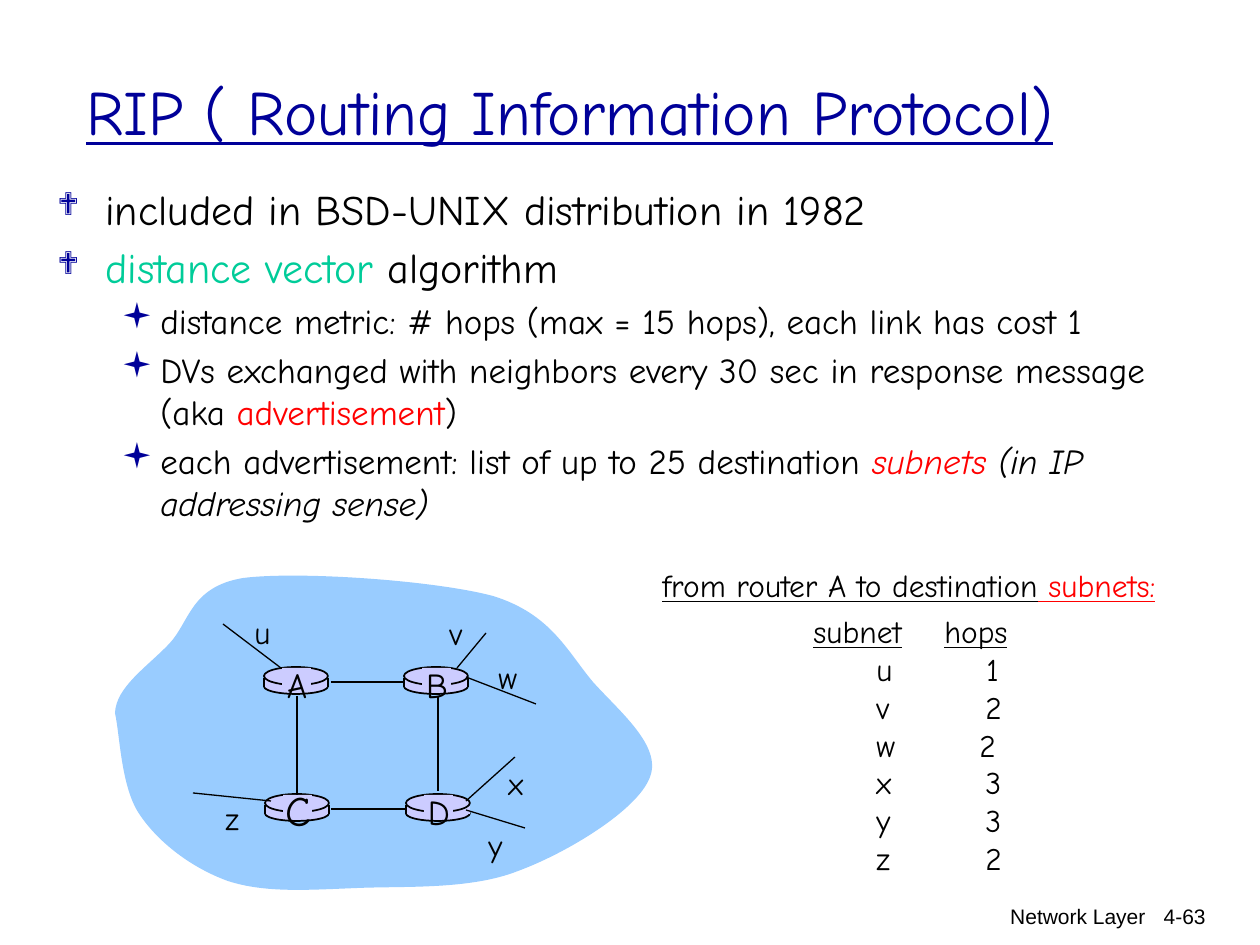
from lxml import etree
from pptx import Presentation
from pptx.dml.color import RGBColor
from pptx.enum import shapes, text
from pptx.oxml.ns import qn
from pptx.util import Emu, Pt

PX = 914400 / 126


class Theme:
    font, footer_font, bullet_font = "Comic Neue", "Arial", "Wingdings"
    navy, black, red = "000099", "000000", "FF0000"
    green, sky, lilac = "00CC99", "99CCFF", "CCCCFF"
    title, lead, detail, label, footer = 36, 24, 20, 18, 12


def add_text(left, top, width, height, wrap=True):
    box = page.shapes.add_textbox(*[Emu(round(n * PX)) for n in (left, top, width, height)])
    box.text_frame.word_wrap = wrap
    return box.text_frame


def write(para, spans, size, font=Theme.font, align=text.PP_ALIGN.LEFT):
    """Each span is (words, colour, style); style may hold u and i."""
    para.alignment = align
    para.font.size = Pt(size)
    para.font.name = font
    for words, color, style in spans:
        span = para.add_run()
        span.text = words
        span.font.color.rgb = RGBColor.from_string(color)
        if "u" in style:
            span.font.underline = True
        if "i" in style:
            span.font.italic = True


deck = Presentation()
deck.slide_width, deck.slide_height = Emu(round(1260 * PX)), Emu(round(945 * PX))
page = deck.slides.add_slide(deck.slide_layouts[6])

# Footer
for left, width, words in [(759, 399, "Network Layer"), (1125, 93, "4-63")]:
    frame = add_text(left, 897, width, 48)
    write(frame.paragraphs[0], [(words, Theme.black, "")], Theme.footer,
          Theme.footer_font, text.PP_ALIGN.RIGHT)

# Title
frame = add_text(74, 31, 1126, 158)
frame.vertical_anchor = text.MSO_ANCHOR.MIDDLE
write(frame.paragraphs[0], [("RIP ( Routing Information Protocol)", Theme.navy, "u")], Theme.title)

# Bulleted list
levels = [  # margin, hanging indent, bullet, bullet percent, type size
    (48, 48, "❖", 75, Theme.lead),
    (103, 39, "▪", 100, Theme.detail),
]
points = [
    (0, [("included in BSD-UNIX distribution in 1982", Theme.black, "")]),
    (0, [("distance vector ", Theme.green, ""), ("algorithm", Theme.black, "")]),
    (1, [("distance metric: # hops (max = 15 hops), each link has cost 1", Theme.black, "")]),
    (1, [("DVs exchanged with neighbors every 30 sec in response message (aka ", Theme.black, ""),
         ("advertisement", Theme.red, ""), (")", Theme.black, "")]),
    (1, [("each advertisement: list of up to 25 destination ", Theme.black, ""),
         ("subnets ", Theme.red, "i"), ("(in IP addressing sense)", Theme.black, "i")]),
]
frame = add_text(45, 177, 1153, 233)
for index, (level, spans) in enumerate(points):
    margin, hang, bullet, percent, size = levels[level]
    para = frame.paragraphs[0] if index == 0 else frame.add_paragraph()
    para.level = level
    if index:
        para.space_before = Pt(size * 0.2)
    props = para._p.get_or_add_pPr()
    props.set("marL", str(round(margin * PX)))
    props.set("indent", str(round(-hang * PX)))
    color = etree.SubElement(props, qn("a:buClr"))
    etree.SubElement(color, qn("a:srgbClr"), val=Theme.navy)
    etree.SubElement(props, qn("a:buSzPct"), val=str(percent * 1000))
    etree.SubElement(props, qn("a:buFont"), typeface=Theme.bullet_font)
    etree.SubElement(props, qn("a:buChar"), char=bullet)
    write(para, spans, size)

# Network cloud: every three points after the start form one cubic curve
start = (115, 713)
curve_points = [
    (116, 687), (147, 667), (169, 644), (190, 622), (190, 587), (243, 578),
    (297, 571), (433, 580), (493, 596), (551, 614), (567, 651), (593, 682),
    (620, 712), (662, 746), (650, 777), (638, 810), (567, 853), (518, 871),
    (470, 890), (404, 886), (357, 888), (307, 890), (265, 893), (228, 881),
    (192, 868), (159, 843), (140, 815), (121, 788), (120, 735), start,
]
builder = page.shapes.build_freeform(*start, scale=PX)
builder.add_line_segments(curve_points, close=True)
cloud = builder.convert_to_shape()
segments = list(cloud._element.iter(qn("a:lnTo")))
for first in range(0, len(segments), 3):
    curve = etree.Element(qn("a:cubicBezTo"))
    segments[first].addprevious(curve)
    for segment in segments[first:first + 3]:
        curve.append(segment[0])
        segment.getparent().remove(segment)
cloud.shadow.inherit = False
cloud.fill.solid()
cloud.fill.fore_color.rgb = RGBColor.from_string(Theme.sky)
cloud.line.fill.background()

# Routers: a drum with a patch behind its letter
routers = [("A", 264, 667, Theme.detail, 10), ("B", 404, 667, Theme.detail, 10),
           ("C", 265, 794, Theme.lead, 16), ("D", 406, 794, Theme.detail, 10)]
OVAL, RECT = shapes.MSO_SHAPE.OVAL, shapes.MSO_SHAPE.RECTANGLE
parts = [(OVAL, 0, 12, 64, 15, True), (RECT, 0, 11, 64, 9, False),
         (OVAL, 0, 0, 64, 18, True), (RECT, 18, 1, 29, 24, False)]
lines = [  # x1, y1, x2, y2, points
    (331, 682, 404, 682, 1), (331, 809, 406, 809, 1),
    (297, 696, 297, 795, 1), (438, 696, 438, 791, 1),
    (281, 668, 223, 624, 0.75), (457, 668, 486, 633, 0.75),
    (466, 677, 536, 704, 0.75), (466, 801, 515, 757, 0.75),
    (466, 810, 525, 828, 0.75), (271, 801, 193, 793, 0.75),
]
for letter, left, top, size, rise in routers:
    for kind, dx, dy, width, height, outlined in parts:
        part = page.shapes.add_shape(
            kind, *[Emu(round(n * PX)) for n in (left + dx, top + dy, width, height)])
        part.shadow.inherit = False
        part.fill.solid()
        part.fill.fore_color.rgb = RGBColor.from_string(Theme.lilac)
        if outlined:
            part.line.color.rgb = RGBColor.from_string(Theme.black)
            part.line.width = Pt(1)
        else:
            part.line.fill.background()
    # Router D has a left side only
    sides = [left] if letter == "D" else [left, left + 64]
    lines += [(x, top + 11, x, top + 20, 1) for x in sides]

# Links, subnet spokes and drum sides
for *ends, weight in lines:
    link = page.shapes.add_connector(shapes.MSO_CONNECTOR.STRAIGHT,
                                     *[Emu(round(n * PX)) for n in ends])
    link.line.color.rgb = RGBColor.from_string(Theme.black)
    link.line.width = Pt(weight)
    etree.SubElement(link._element.spPr, qn("a:effectLst"))

# Router and subnet letters
for letter, left, top, size, rise in routers:
    frame = add_text(left + 7, top - rise, 52, 54, wrap=False)
    write(frame.paragraphs[0], [(letter, Theme.black, "")], size, align=text.PP_ALIGN.CENTER)
for letter, left, top in [("u", 242, 607), ("v", 437, 608), ("w", 486, 652),
                          ("x", 496, 758), ("y", 476, 820), ("z", 213, 793)]:
    frame = add_text(left, top, 43, 50, wrap=False)
    write(frame.paragraphs[0], [(letter, Theme.black, "")], Theme.label)

# Hop counts from router A, aligned by tab stops
hops = [("u", 1, 173), ("v", 2, 172), ("w", 2, 166), ("x", 3, 172), ("y", 3, 172), ("z", 2, 172)]
rows = [([131], [("subnet", Theme.black, "u"), ("\t", Theme.black, ""), ("hops", Theme.black, "u")])]
rows += [([63, stop], [(f"\t{subnet}\t{count}", Theme.black, "")]) for subnet, count, stop in hops]
frame = add_text(801, 606, 229, 315)
for index, (stops, spans) in enumerate(rows):
    para = frame.paragraphs[0] if index == 0 else frame.add_paragraph()
    tabs = etree.SubElement(para._p.get_or_add_pPr(), qn("a:tabLst"))
    for stop in stops:
        etree.SubElement(tabs, qn("a:tab"), pos=str(round(stop * PX)), algn="l")
    write(para, spans, Theme.label)
frame = add_text(650, 560, 582, 50)
write(frame.paragraphs[0], [("from router A to destination", Theme.black, "u"),
                            (" subnets:", Theme.red, "u")], Theme.label)

deck.save("out.pptx")
